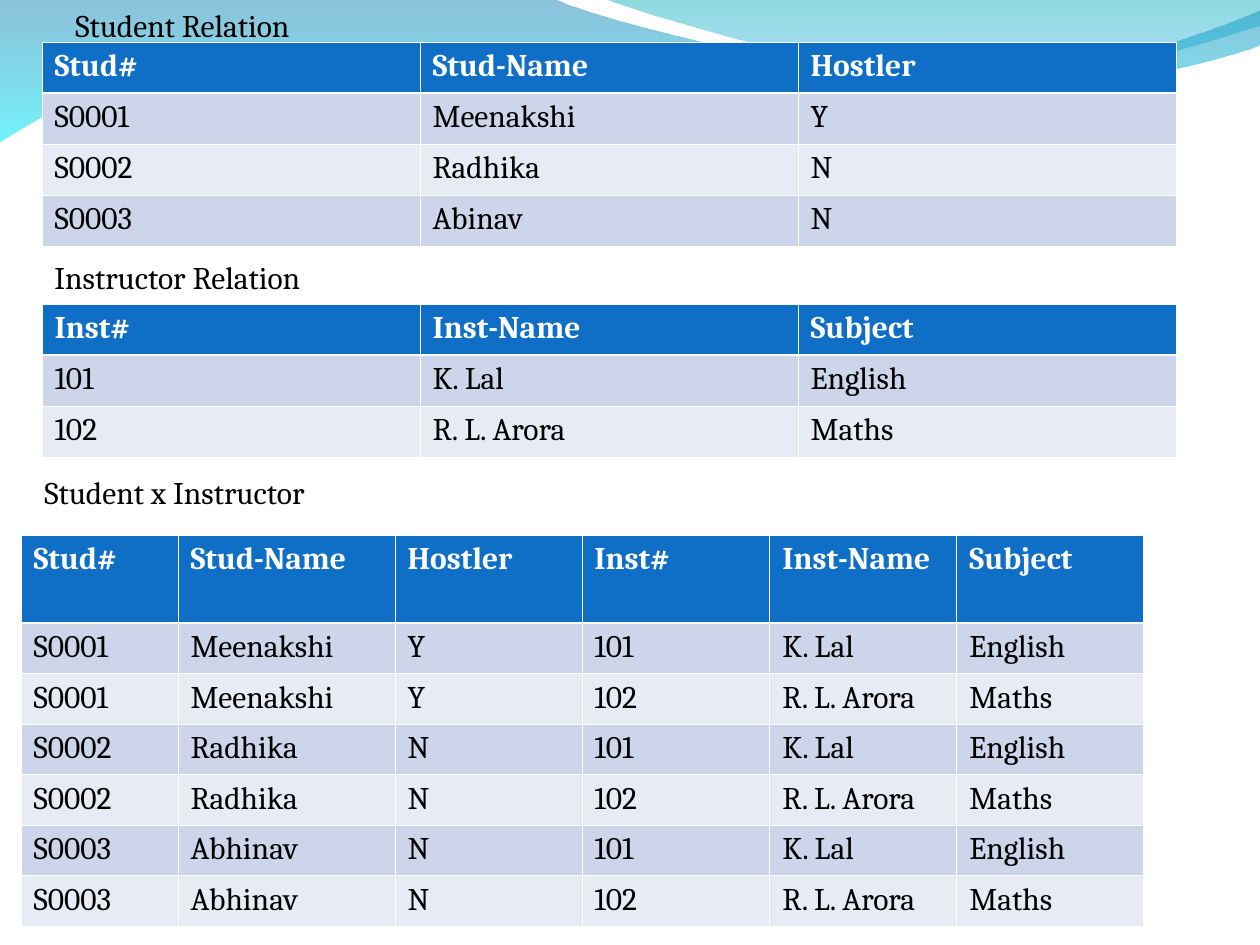
from dataclasses import dataclass
from itertools import product

from lxml.etree import SubElement
from pptx import Presentation
from pptx.dml.color import RGBColor as RGB
from pptx.enum.text import MSO_ANCHOR as Anchor, MSO_AUTO_SIZE as AutoSize
from pptx.oxml.ns import qn
from pptx.util import Emu, Pt

EMU_PER_PX = 914400 / 126


@dataclass(frozen=True)
class Theme:
    font: str = "Cambria"
    size: int = 18
    text: str = "000000"
    header_text: str = "FFFFFF"
    header: str = "0F6FC6"
    bands: tuple = ("CCD5EA", "E7EBF5")
    border: str = "FFFFFF"
    thin: float = 0.45
    thick: float = 1.47
    # Each gradient stop is a colour and its opacity in percent, top first.
    front_wave: tuple = (("0079AF", 45), ("00EBF8", 55))
    back_wave: tuple = (("00ADB6", 45), ("009BE5", 30))


THEME = Theme()

STUDENT_HEAD = ("Stud#", "Stud-Name", "Hostler")
STUDENTS = [("S0001", "Meenakshi", "Y"), ("S0002", "Radhika", "N"), ("S0003", "Abinav", "N")]
INSTRUCTOR_HEAD = ("Inst#", "Inst-Name", "Subject")
INSTRUCTORS = [("101", "K. Lal", "English"), ("102", "R. L. Arora", "Maths")]
# The product table spells the last student's name differently.
PAIRED_STUDENTS = STUDENTS[:2] + [("S0003", "Abhinav", "N")]
PAIRS = [student + instructor for student, instructor in product(PAIRED_STUDENTS, INSTRUCTORS)]

# Each segment lists its points: one for a line, two controls and an end for a curve.
FRONT_WAVE = [
    [(0, -1)], [(554, -1)],
    [(600, 21), (837, 79), (955, 79)], [(1081, 79), (1207, 33), (1260, 11)],
    [(1261, 45)],
    [(1239, 55), (1096, 96), (940, 95)], [(784, 95), (481, 35), (324, 43)],
    [(163, 44), (58, 105), (-1, 142)],
]
BACK_WAVE = [
    [(604, -1)],
    [(642, 14), (859, 78), (969, 82)], [(1079, 87), (1211, 40), (1260, 26)],
    [(1260, 0)],
]


def px(n):
    return Emu(round(n * EMU_PER_PX))


def style_text(p, color, bold=False):
    for r in p.runs:
        r.font.name = THEME.font
        r.font.size = Pt(THEME.size)
        r.font.bold = bold
        r.font.color.rgb = RGB.from_string(color)


def bend(sp, segments):
    """Turn the straight segments that have control points into cubic curves."""
    lines = list(sp._element.spPr.iter(qn("a:lnTo")))
    for line, points in zip(lines, segments):
        if len(points) == 1:
            continue
        line.tag = qn("a:cubicBezTo")
        end = line[0]
        for x, y in points[:-1]:
            end.addprevious(end.makeelement(
                qn("a:pt"), {"x": str(px(x) - sp.left), "y": str(px(y) - sp.top)}))


def add_wave(slide, segments, stops):
    start, *ends = [(px(x), px(y)) for x, y in (points[-1] for points in segments)]
    builder = slide.shapes.build_freeform(*start)
    builder.add_line_segments(ends, close=True)
    sp = builder.convert_to_shape()
    bend(sp, segments[1:])
    sp.shadow.inherit = False
    sp.line.fill.background()
    sp.fill.gradient()
    sp.fill.gradient_angle = 270
    for stop, (color, _) in zip(sp.fill.gradient_stops, stops):
        stop.color.rgb = RGB.from_string(color)
    for clr, (_, opacity) in zip(sp._element.spPr.iter(qn("a:srgbClr")), stops):
        SubElement(clr, qn("a:alpha"), val=str(opacity * 1000))


def add_label(slide, text, x, y, h=50):
    tf = slide.shapes.add_textbox(px(x), px(y), px(315), px(h)).text_frame
    tf.word_wrap = True
    tf.auto_size = AutoSize.NONE
    tf.vertical_anchor = Anchor.TOP
    tf.text = text
    style_text(tf.paragraphs[0], THEME.text)


def set_borders(cell, top, bottom):
    tc_pr = cell._tc.get_or_add_tcPr()
    widths = {"L": THEME.thin, "R": THEME.thin, "T": top, "B": bottom}
    for side, width in widths.items():
        ln = SubElement(tc_pr, qn(f"a:ln{side}"), w=str(Pt(width)))
        fill = SubElement(ln, qn("a:solidFill"))
        SubElement(fill, qn("a:srgbClr"), val=THEME.border)


def style_cell(cell, row):
    is_header = row == 0
    set_borders(cell, THEME.thick if row == 1 else THEME.thin,
                THEME.thick if is_header else THEME.thin)
    cell.fill.solid()
    fill = THEME.header if is_header else THEME.bands[(row - 1) % 2]
    cell.fill.fore_color.rgb = RGB.from_string(fill)
    style_text(cell.text_frame.paragraphs[0],
               THEME.header_text if is_header else THEME.text, is_header)


def add_relation(slide, head, records, x, y, widths, head_h, body_h):
    """Add a table whose records share body_h evenly under the header row."""
    rows = [head, *records]
    table = slide.shapes.add_table(len(rows), len(head), px(x), px(y),
                                   px(sum(widths)), px(head_h + body_h)).table
    for column, width in zip(table.columns, widths):
        column.width = px(width)
    for i, values in enumerate(rows):
        table.rows[i].height = px(body_h / len(records) if i else head_h)
        for j, value in enumerate(values):
            cell = table.cell(i, j)
            cell.text = value
            style_cell(cell, i)


def main():
    prs = Presentation()
    prs.slide_width, prs.slide_height = px(1260), px(945)
    slide = prs.slides.add_slide(prs.slide_layouts[6])

    add_wave(slide, FRONT_WAVE, THEME.front_wave)
    add_wave(slide, BACK_WAVE, THEME.back_wave)

    add_relation(slide, STUDENT_HEAD, STUDENTS, 42, 42, [378] * 3, 51, 153)
    add_relation(slide, INSTRUCTOR_HEAD, INSTRUCTORS, 42, 304, [378] * 3, 51, 102)
    add_relation(slide, STUDENT_HEAD + INSTRUCTOR_HEAD, PAIRS, 21, 535,
                 [157, 217, 187, 188, 187, 187], 88, 303)

    add_label(slide, "Student Relation", 63, 0)
    add_label(slide, "Instructor Relation", 42, 252)
    add_label(slide, "Student x Instructor", 32, 467, 88)

    prs.save("out.pptx")


if __name__ == "__main__":
    main()
